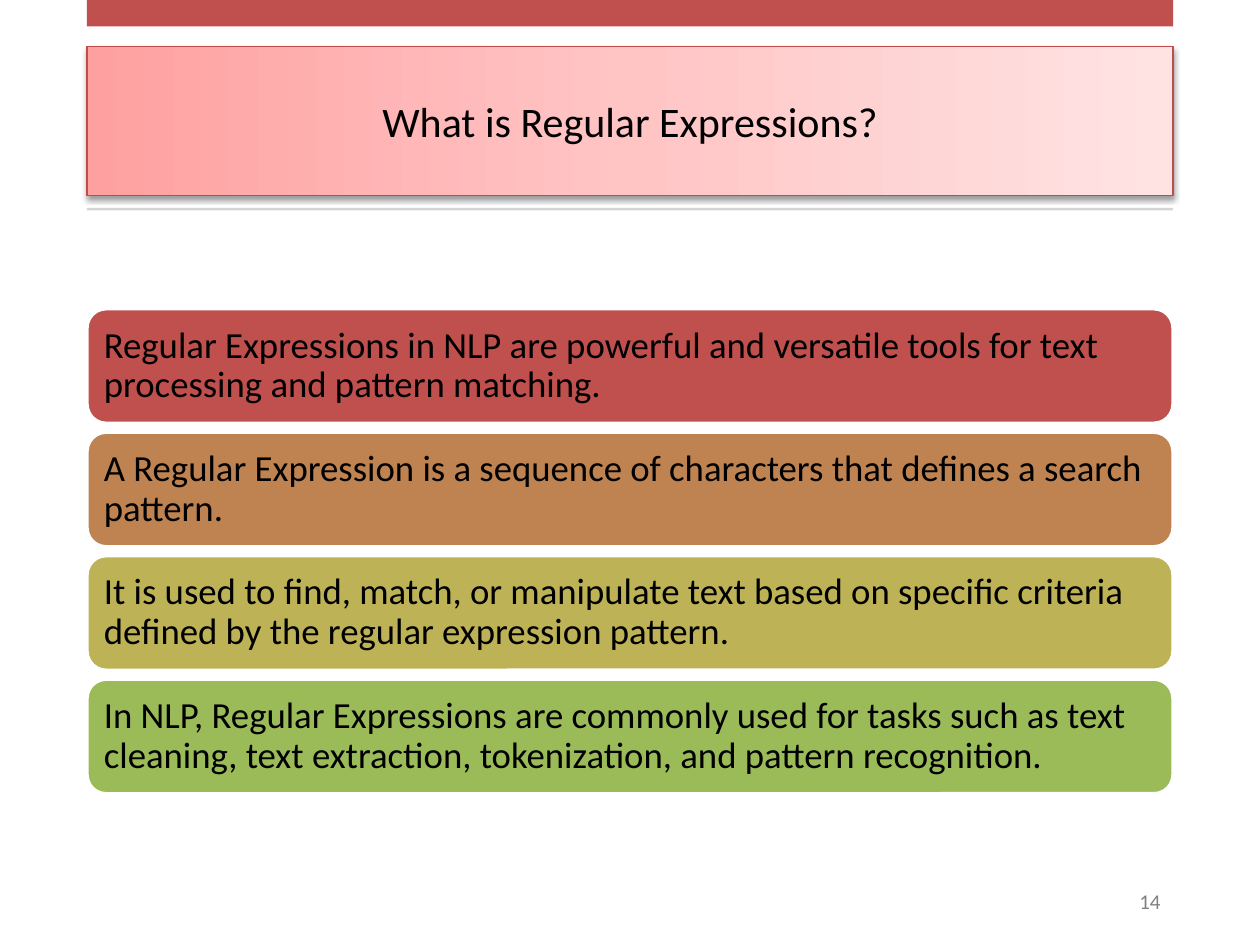
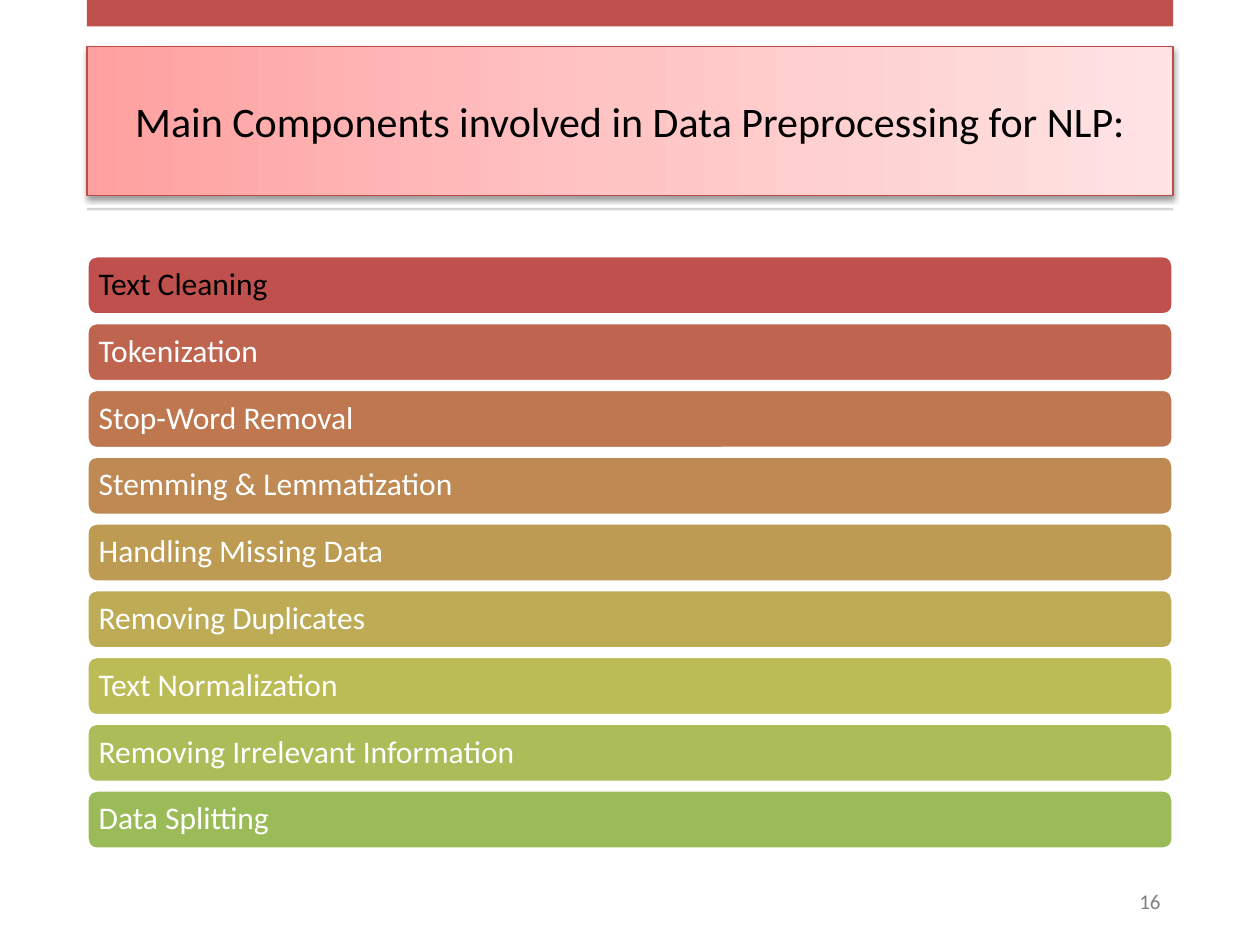
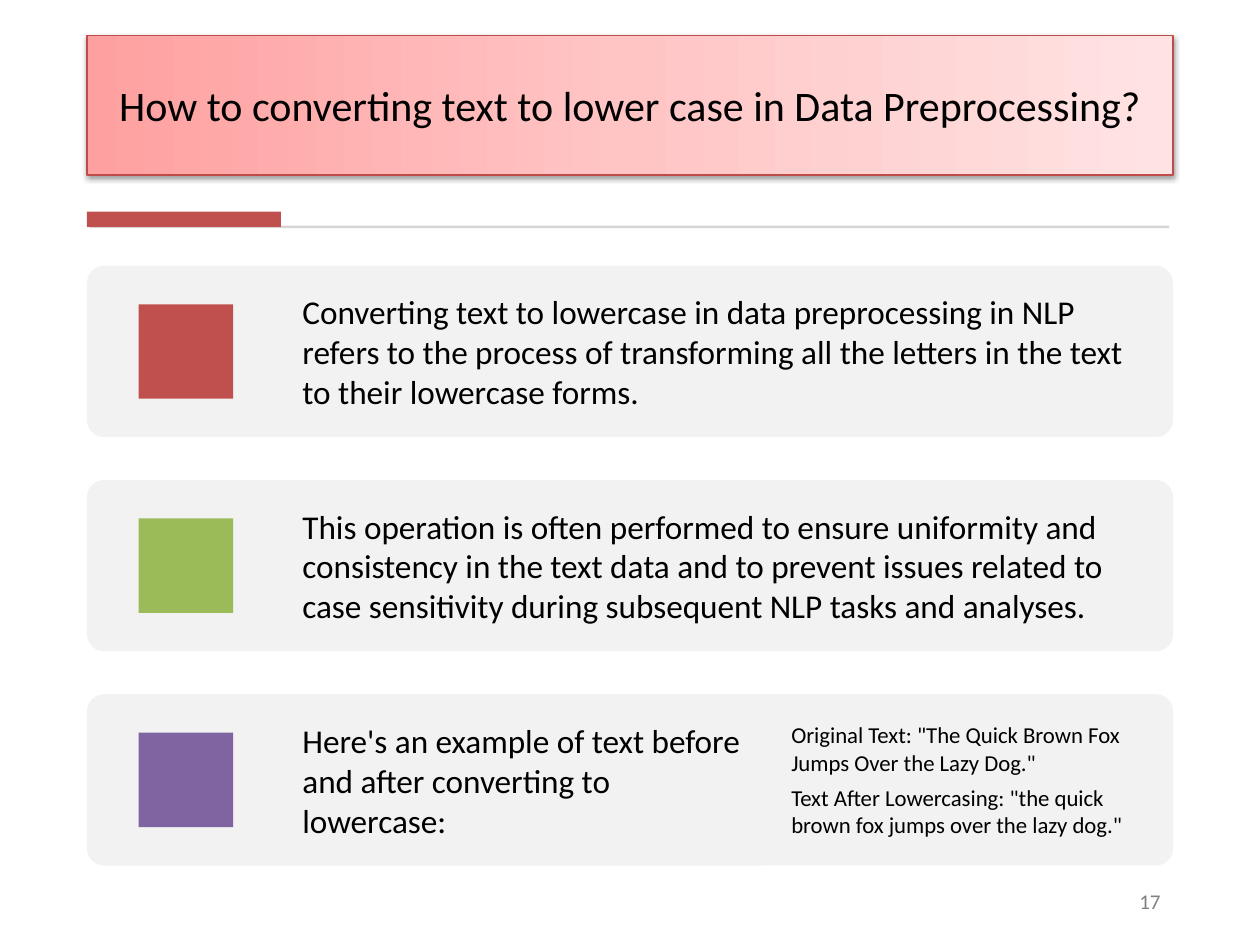
from colorsys import hls_to_rgb, rgb_to_hls
from dataclasses import dataclass

from pptx import Presentation
from pptx.dml.color import RGBColor
from pptx.enum.shapes import MSO_SHAPE
from pptx.enum.text import MSO_ANCHOR, PP_ALIGN
from pptx.oxml import parse_xml
from pptx.oxml.ns import nsdecls, qn
from pptx.util import Inches, Pt


@dataclass(frozen=True)
class Theme:
    font: str = "Calibri"
    red: str = "C0504D"
    green: str = "9BBB59"
    purple: str = "8064A2"
    title_line: str = "BF4C48"
    title_stops: tuple = ((0, "FFA0A0"), (50, "FFC5C5"), (100, "FFE3E3"))
    rule: str = "D5D5D5"
    panel: str = "F2F2F2"
    number: str = "808080"
    black: str = "000000"
    white: str = "FFFFFF"
    title_size: float = 24
    statement_size: float = 21
    panel_size: float = 19
    step_size: float = 18
    example_size: float = 13
    number_size: float = 12


THEME = Theme()
LEFT, WIDTH = 0.69, 8.62
TITLE_ONLY = 5


def blend(start, end, count):
    """Return count colours stepping evenly from start to end through hue."""
    first, last = (
        rgb_to_hls(*(channel / 255 for channel in RGBColor.from_string(color)))
        for color in (start, end)
    )
    colors = []
    for index in range(count):
        share = index / (count - 1)
        mixed = (a + (b - a) * share for a, b in zip(first, last))
        colors.append("".join(f"{round(c * 255):02X}" for c in hls_to_rgb(*mixed)))
    return colors


class SlideBuilder:
    def __init__(self, deck, theme):
        self.deck = deck
        self.theme = theme
        self.page = None

    def new_page(self, title, number, title_top=0.37, title_height=1.18):
        self.page = self.deck.slides.add_slide(self.deck.slide_layouts[TITLE_ONLY])
        self.title(title, title_top, title_height)
        self.text(7.15, 6.95, 2.16, 0.4, [number], self.theme.number_size,
                  self.theme.number, inset=0.1, align=PP_ALIGN.RIGHT)

    def title(self, words, top, height):
        box = self.page.shapes.title
        box.left, box.top = Inches(LEFT), Inches(top)
        box.width, box.height = Inches(WIDTH), Inches(height)
        self.set_text(box, [words], self.theme.title_size, self.theme.black,
                      inset=0.1, align=PP_ALIGN.CENTER)

        box.fill.gradient()
        box.fill.gradient_angle = 0
        stops = box.element.spPr.find(".//" + qn("a:gsLst"))
        for stop in list(stops):
            stops.remove(stop)
        for position, color in self.theme.title_stops:
            stops.append(parse_xml(
                f'<a:gs {nsdecls("a")} pos="{position * 1000}">'
                f'<a:srgbClr val="{color}"/></a:gs>'))
        box.line.color.rgb = RGBColor.from_string(self.theme.title_line)
        box.line.width = Pt(0.75)
        box.element.spPr.append(parse_xml(
            f'<a:effectLst {nsdecls("a")}>'
            '<a:outerShdw blurRad="40000" dist="20000" dir="5400000" rotWithShape="0">'
            f'<a:srgbClr val="{self.theme.black}"><a:alpha val="38000"/></a:srgbClr>'
            '</a:outerShdw></a:effectLst>'))

    def shape(self, kind, left, top, width, height, color):
        box = self.page.shapes.add_shape(
            kind, Inches(left), Inches(top), Inches(width), Inches(height))
        box.shadow.inherit = False
        box.fill.solid()
        box.fill.fore_color.rgb = RGBColor.from_string(color)
        box.line.fill.background()
        return box

    def bar(self, left, top, width, height, color):
        return self.shape(MSO_SHAPE.RECTANGLE, left, top, width, height, color)

    def top_bands(self):
        self.bar(LEFT, 0, WIDTH, 0.21, self.theme.red)
        self.bar(LEFT, 1.65, WIDTH, 0.02, self.theme.rule)

    def rows(self, lines, top, pitch, height, size, inset, text_colors):
        """Stack one rounded row per line, coloured from red to green."""
        fills = blend(self.theme.red, self.theme.green, len(lines))
        for index, (line, fill, color) in enumerate(zip(lines, fills, text_colors)):
            row = self.shape(MSO_SHAPE.ROUNDED_RECTANGLE, LEFT, top + index * pitch,
                             WIDTH, height, fill)
            row.line.color.rgb = RGBColor.from_string(self.theme.white)
            row.line.width = Pt(2)
            self.set_text(row, [line], size, color, inset, spacing=0.9)

    def panel(self, top, color, words, text_width):
        height, marker = 1.36, 0.75
        card = self.shape(MSO_SHAPE.ROUNDED_RECTANGLE, LEFT, top, WIDTH, height,
                          self.theme.panel)
        card.adjustments[0] = 0.1
        self.bar(1.1, top + (height - marker) / 2, marker, marker, color)
        self.text(2.26, top, text_width, height, [words], self.theme.panel_size,
                  self.theme.black, inset=0.14)

    def text(self, left, top, width, height, lines, size, color, inset,
             align=PP_ALIGN.LEFT):
        box = self.page.shapes.add_textbox(
            Inches(left), Inches(top), Inches(width), Inches(height))
        self.set_text(box, lines, size, color, inset, align)

    def set_text(self, box, lines, size, color, inset, align=PP_ALIGN.LEFT,
                 spacing=1.0):
        frame = box.text_frame
        frame.word_wrap = True
        frame.vertical_anchor = MSO_ANCHOR.MIDDLE
        frame.margin_left = frame.margin_right = Inches(inset)
        frame.margin_top = frame.margin_bottom = Inches(inset)
        frame.text = "\n".join(lines)
        for para in frame.paragraphs:
            para.alignment = align
            para.line_spacing = spacing
            for span in para.runs:
                span.font.name = self.theme.font
                span.font.size = Pt(size)
                span.font.color.rgb = RGBColor.from_string(color)
        for para in frame.paragraphs[:-1]:
            para.space_after = Pt(size * 0.35)


def definition_slide(builder):
    builder.new_page("What is Regular Expressions?", "14")
    builder.top_bands()
    statements = [
        "Regular Expressions in NLP are powerful and versatile tools for text "
        "processing and pattern matching.",
        "A Regular Expression is a sequence of characters that defines a search pattern.",
        "It is used to find, match, or manipulate text based on specific criteria "
        "defined by the regular expression pattern.",
        "In NLP, Regular Expressions are commonly used for tasks such as text "
        "cleaning, text extraction, tokenization, and pattern recognition.",
    ]
    builder.rows(statements, top=2.45, pitch=0.98, height=0.91,
                 size=THEME.statement_size, inset=0.09,
                 text_colors=[THEME.black] * len(statements))


def components_slide(builder):
    builder.new_page("Main Components involved in Data Preprocessing for NLP:", "16")
    builder.top_bands()
    steps = [
        "Text Cleaning",
        "Tokenization",
        "Stop-Word Removal",
        "Stemming & Lemmatization",
        "Handling Missing Data",
        "Removing Duplicates",
        "Text Normalization",
        "Removing Irrelevant Information",
        "Data Splitting",
    ]
    builder.rows(steps, top=2.03, pitch=0.53, height=0.47,
                 size=THEME.step_size, inset=0.07,
                 text_colors=[THEME.black] + [THEME.white] * (len(steps) - 1))


def lowercase_slide(builder):
    builder.new_page("How to converting text to lower case in Data Preprocessing?",
                     "17", title_top=0.28, title_height=1.11)
    builder.bar(0.71, 1.79, 8.57, 0.02, THEME.rule)
    builder.bar(LEFT, 1.68, 1.54, 0.12, THEME.red)
    panels = [
        (THEME.red, 7.05,
         "Converting text to lowercase in data preprocessing in NLP refers to the "
         "process of transforming all the letters in the text to their lowercase forms."),
        (THEME.green, 7.05,
         "This operation is often performed to ensure uniformity and consistency in "
         "the text data and to prevent issues related to case sensitivity during "
         "subsequent NLP tasks and analyses."),
        (THEME.purple, 3.88,
         "Here's an example of text before and after converting to lowercase:"),
    ]
    for index, (color, text_width, words) in enumerate(panels):
        builder.panel(2.11 + index * 1.7, color, words, text_width)
    example = [
        'Original Text: "The Quick Brown Fox Jumps Over the Lazy Dog."',
        'Text After Lowercasing: "the quick brown fox jumps over the lazy dog."',
    ]
    builder.text(6.14, 5.51, 3.17, 1.36, example, THEME.example_size,
                 THEME.black, inset=0.14)


def main():
    deck = Presentation()
    deck.slide_width, deck.slide_height = Inches(10), Inches(7.5)
    builder = SlideBuilder(deck, THEME)
    definition_slide(builder)
    components_slide(builder)
    lowercase_slide(builder)
    deck.save("out.pptx")


if __name__ == "__main__":
    main()
